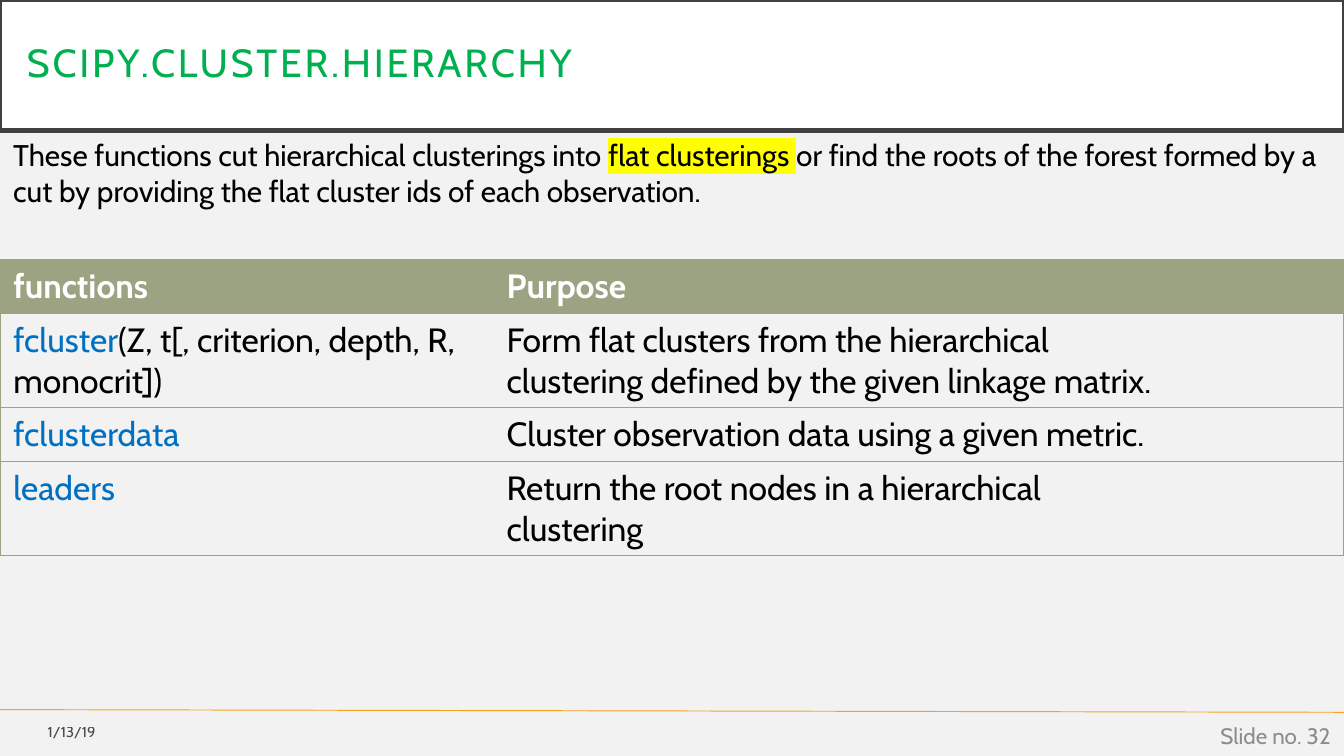
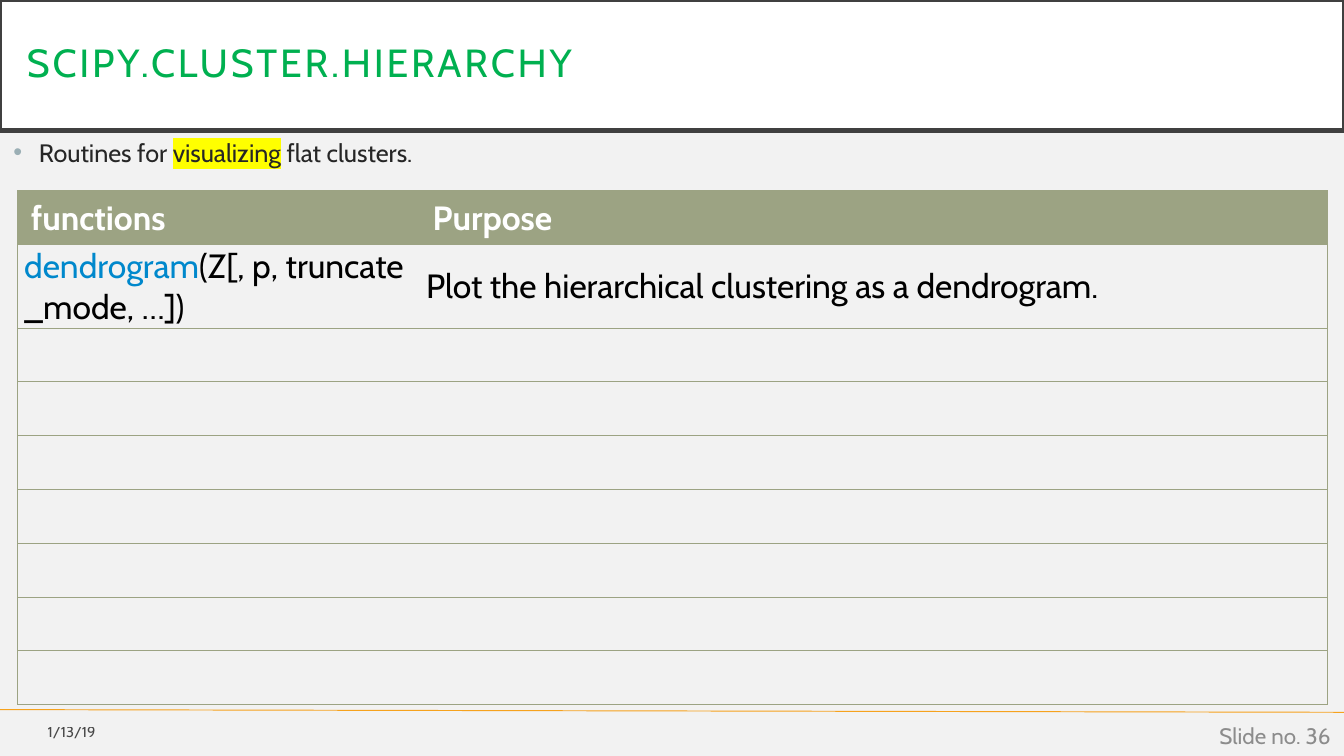
from dataclasses import dataclass

from lxml import etree
from pptx import Presentation
from pptx.dml.color import RGBColor
from pptx.enum.shapes import MSO_CONNECTOR
from pptx.enum.text import MSO_ANCHOR, MSO_AUTO_SIZE, PP_ALIGN
from pptx.oxml.ns import qn
from pptx.util import Inches, Pt

FONT = "Cabin"
BACKGROUND = RGBColor(0xF2, 0xF2, 0xF2)
WHITE = RGBColor(0xFF, 0xFF, 0xFF)
BLACK = RGBColor(0x00, 0x00, 0x00)
TITLE_GREEN = RGBColor(0x00, 0xB0, 0x50)
TITLE_BORDER = RGBColor(0x40, 0x40, 0x40)
FOOTER_ORANGE = RGBColor(0xF6, 0xA2, 0x1D)
FOOTER_GRAY = RGBColor(0x8C, 0x8C, 0x8C)
TABLE_OLIVE = RGBColor(0x9C, 0xA3, 0x83)
BODY_GRAY = RGBColor(0x26, 0x26, 0x26)
BULLET_GRAY = RGBColor(0x9B, 0xAF, 0xB5)
LINK_BLUE = RGBColor(0x00, 0x70, 0xC0)
DENDROGRAM_BLUE = RGBColor(0x00, 0x88, 0xCC)
HIGHLIGHT = RGBColor(0xFF, 0xFF, 0x00)

MIDDLE = MSO_ANCHOR.MIDDLE
TOP = MSO_ANCHOR.TOP
LEFT = PP_ALIGN.LEFT
RIGHT = PP_ALIGN.RIGHT
STRAIGHT = MSO_CONNECTOR.STRAIGHT
NO_AUTOFIT = MSO_AUTO_SIZE.NONE
TITLE_AND_CONTENT, TITLE_ONLY = 1, 5

TITLE = "SCIPY.CLUSTER.HIERARCHY"
DATE = "1/13/19"
HEADINGS = ("functions", "Purpose")
NO_BREAK_SPACE = chr(160)


@dataclass(frozen=True)
class Span:
    text: str
    color: RGBColor | None = None
    highlighted: bool = False


@dataclass(frozen=True)
class FunctionRow:
    function: tuple[Span, ...] = ()
    purpose: tuple[Span, ...] = ()


@dataclass(frozen=True)
class FunctionTable:
    left: float
    top: float
    height: float
    column_widths: tuple[float, ...]
    row_heights: tuple[float, ...]  # minimum heights, rows grow with their text
    rows: tuple[FunctionRow, ...]
    tight: bool = False  # small margins, text centred vertically


CUTTING_INTRO = (
    Span("These functions cut hierarchical clusterings into "),
    Span("flat clusterings ", highlighted=True),
    Span("or find the roots of the forest formed by a cut by providing "
         "the flat cluster ids of each observation."),
)
CUTTING_TABLE = FunctionTable(0, 1.93, 1.52, (3.67, 5.04, 1.29), (0.21,) * 4, (
    FunctionRow(
        (Span("fcluster", LINK_BLUE),
         Span("(Z, t[, criterion, depth, R, monocrit])")),
        (Span("Form flat clusters from the hierarchical clustering "
              "defined by the given linkage matrix."),)),
    FunctionRow(
        (Span("fclusterdata", LINK_BLUE),),
        (Span("Cluster observation data using a given metric."),)),
    FunctionRow(
        (Span("leaders", LINK_BLUE),),
        (Span("Return the root nodes in a hierarchical clustering"),)),
))

VISUALIZING_INTRO = (
    Span("Routines for "),
    Span("visualizing", highlighted=True),
    Span(" flat clusters."),
)
DENDROGRAM_ARGUMENTS = NO_BREAK_SPACE.join(("(Z[,", "p,", "truncate_mode,", "…])"))
VISUALIZING_TABLE = FunctionTable(
    0.13, 1.42, 3.08, (2.99, 5.51, 1.25), (0.23, 0.33) * 2 + (0.23,) * 5, (
        FunctionRow(
            (Span("dendrogram", DENDROGRAM_BLUE), Span(DENDROGRAM_ARGUMENTS)),
            (Span("Plot the hierarchical clustering as a dendrogram."),)),
        *[FunctionRow()] * 7,
    ), tight=True)


def add_color(parent, color: RGBColor) -> None:
    etree.SubElement(parent, qn("a:srgbClr"), val=str(color))


def write_spans(paragraph, spans: tuple[Span, ...], size: float,
                color: RGBColor, bold: bool = False) -> None:
    font = paragraph.font
    font.name, font.size, font.bold = FONT, Pt(size), bold
    font.color.rgb = color
    for span in spans:
        run = paragraph.add_run()
        run.text = span.text
        if span.color is not None:
            run.font.color.rgb = span.color
        if span.highlighted:
            properties = run._r.get_or_add_rPr()
            add_color(etree.SubElement(properties, qn("a:highlight")), HIGHLIGHT)


def place(shape, left: float, top: float, width: float, height: float) -> None:
    shape.left, shape.top = Inches(left), Inches(top)
    shape.width, shape.height = Inches(width), Inches(height)


def add_text(slide, box: tuple[float, float, float, float],
             spans: tuple[Span, ...], size: float, color: RGBColor,
             align=LEFT, anchor=TOP):
    frame = slide.shapes.add_textbox(*map(Inches, box)).text_frame
    frame.word_wrap = True
    frame.vertical_anchor = anchor
    paragraph = frame.paragraphs[0]
    paragraph.alignment = align
    write_spans(paragraph, spans, size, color)
    return paragraph


def add_title(slide) -> None:
    title = slide.shapes.title
    place(title, 0, 0, 10, 0.97)
    title.fill.solid()
    title.fill.fore_color.rgb = WHITE
    title.line.color.rgb = TITLE_BORDER
    title.line.width = Pt(2.5)
    frame = title.text_frame
    frame.auto_size = NO_AUTOFIT
    frame.vertical_anchor = MIDDLE
    frame.margin_left = frame.margin_right = Inches(0.2)
    frame.margin_top = frame.margin_bottom = Inches(0.2)
    paragraph = frame.paragraphs[0]
    paragraph.alignment = LEFT
    paragraph.line_spacing = 0.9
    write_spans(paragraph, (Span(TITLE),), 21, TITLE_GREEN)
    paragraph.runs[0]._r.get_or_add_rPr().set("spc", "150")


def add_footer(slide, number: int) -> None:
    rule = slide.shapes.add_connector(
        STRAIGHT, Inches(0), Inches(5.28), Inches(10), Inches(5.3))
    rule.line.color.rgb = FOOTER_ORANGE
    rule.line.width = Pt(0.5)
    etree.SubElement(rule._element.spPr, qn("a:effectLst"))

    date = add_text(slide, (0, 5.31, 0.81, 0.27), (Span(DATE),),
                    7.9, BLACK, RIGHT, MIDDLE)
    for color in date._p.iter(qn("a:srgbClr")):
        etree.SubElement(color, qn("a:alpha"), val="70000")
    add_text(slide, (7.75, 5.32, 2.25, 0.3), (Span(f"Slide no. {number}"),),
             12, FOOTER_GRAY, RIGHT, MIDDLE)


def add_bullet(slide, spans: tuple[Span, ...]) -> None:
    body = slide.placeholders[1]
    place(body, 0, 0.97, 10, 4.34)
    body.text_frame.auto_size = NO_AUTOFIT
    paragraph = body.text_frame.paragraphs[0]
    paragraph.space_before = Pt(7.5)
    write_spans(paragraph, spans, 13.5, BODY_GRAY)
    properties = paragraph._p.get_or_add_pPr()
    indent = Inches(0.19)
    properties.set("marL", str(indent))
    properties.set("indent", str(-indent))
    bullet_color = etree.Element(qn("a:buClr"))
    add_color(bullet_color, BULLET_GRAY)
    bullet = etree.Element(qn("a:buChar"), char="•")
    default_font = properties.find(qn("a:defRPr"))
    default_font.addprevious(bullet_color)
    default_font.addprevious(bullet)


def set_borders(cell, first: bool, last: bool) -> None:
    """Rule every row, and close the table at its two sides."""
    properties = cell._tc.get_or_add_tcPr()
    sides = {"lnL": first, "lnR": last, "lnT": True, "lnB": True}
    for index, (side, visible) in enumerate(sides.items()):
        border = etree.Element(qn(f"a:{side}"), w=str(Pt(0.5)))
        if visible:
            add_color(etree.SubElement(border, qn("a:solidFill")), TABLE_OLIVE)
        else:
            etree.SubElement(border, qn("a:noFill"))
        properties.insert(index, border)


def add_function_table(slide, content: FunctionTable) -> None:
    heading = FunctionRow(*((Span(text),) for text in HEADINGS))
    rows = (heading, *content.rows)
    widths = content.column_widths
    graphic_frame = slide.shapes.add_table(
        len(rows), len(widths), Inches(content.left), Inches(content.top),
        Inches(sum(widths)), Inches(content.height))
    table = graphic_frame.table
    table.horz_banding = False
    for column, width in zip(table.columns, widths):
        column.width = Inches(width)
    for table_row, height in zip(table.rows, content.row_heights):
        table_row.height = Inches(height)
    graphic_frame.height = Inches(content.height)

    for row_index, row in enumerate(rows):
        is_heading = row_index == 0
        for column_index, spans in enumerate((row.function, row.purpose, ())):
            cell = table.cell(row_index, column_index)
            if is_heading:
                cell.fill.solid()
                cell.fill.fore_color.rgb = TABLE_OLIVE
            else:
                cell.fill.background()
            if content.tight and spans and not is_heading:
                cell.vertical_anchor = MIDDLE
                cell.margin_left, cell.margin_right = Inches(0.05), Inches(0.08)
                cell.margin_top = cell.margin_bottom = Inches(0.01)
            write_spans(cell.text_frame.paragraphs[0], spans, 18,
                        WHITE if is_heading else BLACK, is_heading)
            set_borders(cell, column_index == 0, column_index == len(widths) - 1)


def new_slide(presentation, layout: int, number: int):
    slide = presentation.slides.add_slide(presentation.slide_layouts[layout])
    add_title(slide)
    add_footer(slide, number)
    return slide


def main() -> None:
    presentation = Presentation()
    presentation.slide_width = Inches(10)
    presentation.slide_height = Inches(10) * 9 // 16
    background = presentation.slide_master.background.fill
    background.solid()
    background.fore_color.rgb = BACKGROUND

    # Cutting into flat clusters
    slide = new_slide(presentation, TITLE_ONLY, 32)
    add_function_table(slide, CUTTING_TABLE)
    add_text(slide, (0, 0.97, 10, 0.64), CUTTING_INTRO, 16, BLACK)

    # Visualizing flat clusters
    slide = new_slide(presentation, TITLE_AND_CONTENT, 36)
    add_bullet(slide, VISUALIZING_INTRO)
    add_function_table(slide, VISUALIZING_TABLE)

    presentation.save("out.pptx")


if __name__ == "__main__":
    main()
